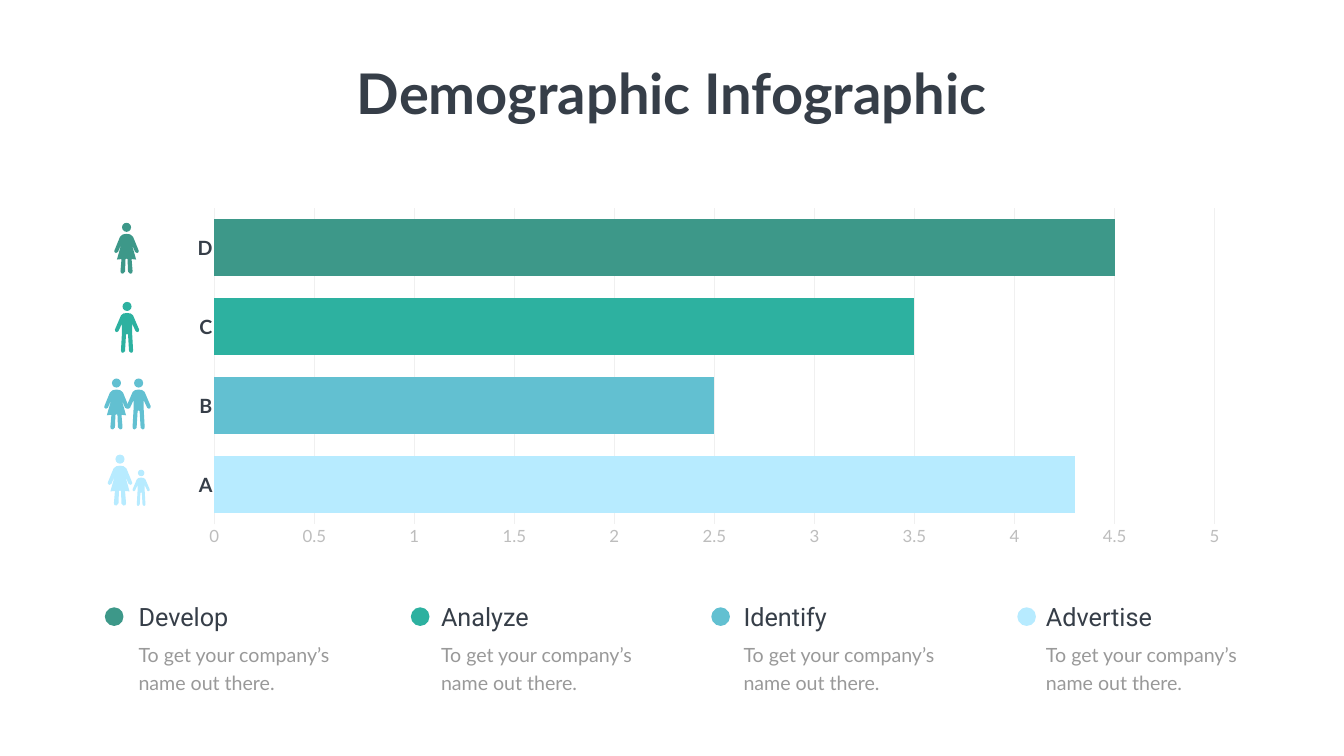
"""Build the demographic infographic slide with a bar chart, pictograms and a legend."""
from dataclasses import dataclass

import pptx
import pptx.chart.data
import pptx.dml.color
import pptx.enum.chart
import pptx.enum.shapes
import pptx.enum.text
import pptx.oxml
import pptx.oxml.ns
import pptx.util

Inches = pptx.util.Inches
Pt = pptx.util.Pt
RGBColor = pptx.dml.color.RGBColor
Align = pptx.enum.text.PP_ALIGN

PINE = RGBColor(0x3D, 0x98, 0x89)
TEAL = RGBColor(0x2D, 0xB1, 0xA0)
SKY = RGBColor(0x62, 0xC0, 0xD1)
ICE = RGBColor(0xB7, 0xEB, 0xFF)
INK = RGBColor(0x36, 0x3E, 0x48)
GREY = RGBColor(0x99, 0x99, 0x99)
AXIS_GREY = RGBColor(0xBD, 0xBD, 0xBD)
GRID_GREY = RGBColor(0xF0, 0xF0, 0xF0)

MAN = [(0, .22), (.07, .23), (.11, .26), (.12, .27), (.24, .55), (.23, .59), (.2, .6),
       (.17, .58), (.1, .43), (.1, .6), (.12, .96), (.11, 1), (.08, 1.01), (.04, .98),
       (.02, .65), (0, .63)]
WOMAN = [(0, .22), (.07, .23), (.11, .26), (.13, .28), (.24, .55), (.24, .58), (.21, .6),
         (.17, .58), (.1, .41), (.19, .73), (.1, .72), (.12, .96), (.11, 1), (.07, 1.01),
         (.03, .97), (.02, .72), (0, .71)]
HEAD_SIZE = .18


@dataclass(frozen=True)
class Person:
    """A pictogram; half_body is the right half of a symmetric outline."""
    half_body: list[tuple[float, float]]
    center: float
    top: float
    color: RGBColor
    scale: float = 1


@dataclass(frozen=True)
class LegendEntry:
    """A legend heading with its dot."""
    heading: str
    dot_left: float
    color: RGBColor


@dataclass(frozen=True)
class Bar:
    """One category of the chart."""
    category: str
    value: float
    color: RGBColor


PEOPLE = [
    Person(WOMAN, 2.51, 4.42, PINE),
    Person(MAN, 2.52, 5.99, TEAL),
    Person(MAN, 2.75, 7.51, SKY),
    Person(WOMAN, 2.31, 7.51, SKY),
    Person(WOMAN, 2.38, 9.02, ICE),
    Person(MAN, 2.8, 9.32, ICE, scale=.71),
]
LEGEND = [
    LegendEntry("Develop", 2.08, PINE),
    LegendEntry("Analyze", 8.15, TEAL),
    LegendEntry("Identify", 14.11, SKY),
    LegendEntry("Advertise", 20.18, ICE),
]
BARS = [Bar("A", 4.3, ICE), Bar("B", 2.5, SKY), Bar("C", 3.5, TEAL), Bar("D", 4.5, PINE)]


def style_font(font, size: float, color: RGBColor, name: str = "Lato", bold: bool = False) -> None:
    """Format a font."""
    font.size, font.name, font.bold = Pt(size), name, bold
    font.color.rgb = color


def write_text(holder, text: str, *, size: float, color: RGBColor, name: str = "Lato",
               bold: bool = False, align=Align.LEFT, line_spacing=None, wrap: bool = True) -> None:
    """Fill a text holder with one formatted paragraph."""
    frame = holder.text_frame
    frame.word_wrap = wrap
    frame.vertical_anchor = pptx.enum.text.MSO_ANCHOR.TOP
    frame.auto_size = pptx.enum.text.MSO_AUTO_SIZE.SHAPE_TO_FIT_TEXT
    paragraph = frame.paragraphs[0]
    paragraph.alignment = align
    paragraph.line_spacing = line_spacing
    run = paragraph.add_run()
    run.text = text
    style_font(run.font, size, color, name, bold)


def paint(shape, color: RGBColor) -> None:
    """Give a shape a flat fill."""
    shape.shadow.inherit = False
    shape.fill.solid()
    shape.fill.fore_color.rgb = color
    shape.line.fill.background()


def add_dot(slide, left: float, top: float, size: float, color: RGBColor) -> None:
    """Draw a filled circle."""
    paint(slide.shapes.add_shape(pptx.enum.shapes.MSO_SHAPE.OVAL, Inches(left), Inches(top),
                                 Inches(size), Inches(size)), color)


def add_person(slide, person: Person) -> None:
    """Draw a body mirrored about its centre, and a head."""
    outline = person.half_body + [(-x, y) for x, y in reversed(person.half_body[1:-1])]
    points = [(Inches(person.center + x * person.scale), Inches(person.top + y * person.scale))
              for x, y in outline]
    builder = slide.shapes.build_freeform(*points[0])
    builder.add_line_segments(points[1:], close=True)
    paint(builder.convert_to_shape(), person.color)
    head = HEAD_SIZE * person.scale
    add_dot(slide, person.center - head / 2, person.top, head, person.color)


def add_legend_entry(slide, entry: LegendEntry, left: float) -> None:
    """Draw a dot, a heading and a description."""
    add_dot(slide, entry.dot_left, 12.05, .37, entry.color)
    heading = slide.shapes.add_textbox(Inches(left), Inches(11.88), Inches(4.38), Inches(.71))
    write_text(heading, entry.heading, size=36, color=INK, name="Roboto")
    description = slide.shapes.add_textbox(Inches(left), Inches(12.6), Inches(4.38), Inches(1.19))
    write_text(description, "To get your company’s name out there.", size=28, color=GREY,
               line_spacing=Pt(40.8))


def add_bar_chart(slide) -> None:
    """Draw the bar chart with one colour per category."""
    chart_data = pptx.chart.data.CategoryChartData()
    chart_data.categories = [bar.category for bar in BARS]
    chart_data.add_series("Series 1", [bar.value for bar in BARS])
    chart = slide.shapes.add_chart(pptx.enum.chart.XL_CHART_TYPE.BAR_CLUSTERED, Inches(3.49),
                                   Inches(3.99), Inches(21.11), Inches(7.02), chart_data).chart
    chart.has_legend = chart.has_title = False
    style_font(chart.font, 24, GREY)

    plot = chart.plots[0]
    plot.gap_width = 39
    plot.vary_by_categories = False
    series = plot.series[0]
    series.format.fill.solid()
    series.format.fill.fore_color.rgb = PINE
    for index, bar in enumerate(BARS):
        fill = series.points[index].format.fill
        fill.solid()
        fill.fore_color.rgb = bar.color

    categories, values = chart.category_axis, chart.value_axis
    for axis in (categories, values):
        axis.major_tick_mark = axis.minor_tick_mark = pptx.enum.chart.XL_TICK_MARK.NONE
    style_font(categories.tick_labels.font, 28, INK, bold=True)
    style_font(values.tick_labels.font, 24, AXIS_GREY)
    values.minimum_scale, values.maximum_scale, values.major_unit = 0, 5, .5
    values.has_major_gridlines = True
    values.format.line.fill.background()
    for line in (categories.format.line, values.major_gridlines.format.line):
        line.color.rgb = GRID_GREY
        line.width = Pt(.75)

    plot_area = chart.element.chart.plotArea
    for old_layout in plot_area.findall(pptx.oxml.ns.qn("c:layout")):
        plot_area.remove(old_layout)
    bounds = {"x": .036, "y": .02, "w": .94, "h": .893}
    sizes = "".join(f'<c:{key} val="{value}"/>' for key, value in bounds.items())
    plot_area.insert(0, pptx.oxml.parse_xml(
        f'<c:layout {pptx.oxml.ns.nsdecls("c")}><c:manualLayout><c:layoutTarget val="inner"/>'
        f'<c:xMode val="edge"/><c:yMode val="edge"/>{sizes}</c:manualLayout></c:layout>'))


def main() -> None:
    """Build and save the slide."""
    deck = pptx.Presentation()
    deck.slide_width, deck.slide_height = Inches(26.66), Inches(15)
    slide = deck.slides.add_slide(deck.slide_layouts[5])
    title = slide.shapes.title
    title.left, title.top, title.width, title.height = map(Inches, (6.86, 1.12, 12.93, 1.45))
    write_text(title, "Demographic Infographic", size=80, color=INK, bold=True,
               align=Align.CENTER, wrap=False)
    add_bar_chart(slide)
    for person in PEOPLE:
        add_person(slide, person)
    for column, entry in enumerate(LEGEND):
        add_legend_entry(slide, entry, 2.65 + 6 * column)
    deck.save("out.pptx")


if __name__ == "__main__":
    main()
